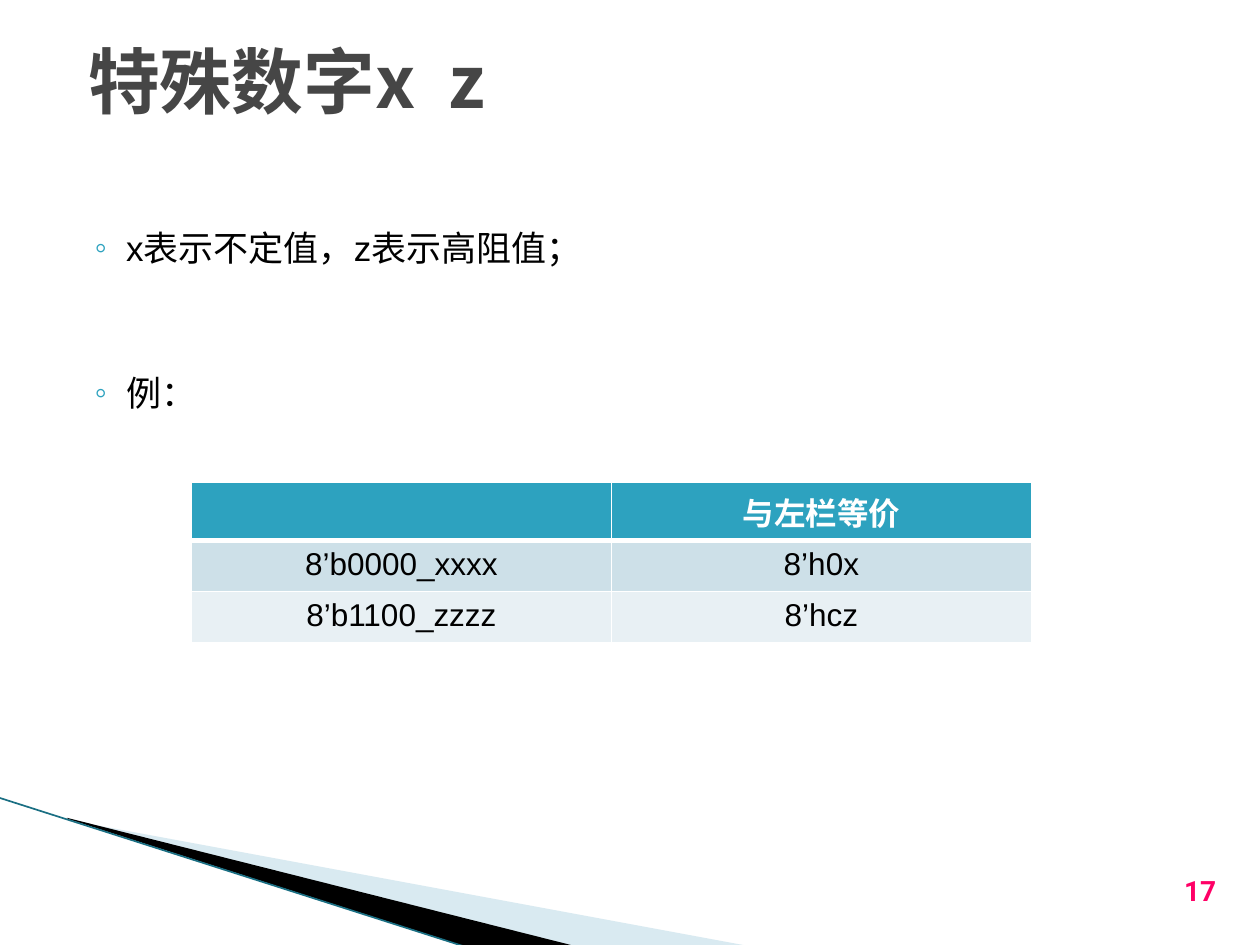
from lxml import etree
from pptx import Presentation
from pptx import util as u
from pptx.dml.color import RGBColor
from pptx.enum import text
from pptx.oxml import ns

Pt = u.Pt
HUES = {
    "ink": "000000", "white": "FFFFFF", "title": "464646", "teal": "2DA2BF",
    "band": "CDE0E8", "pale": "E8F0F4", "wedge": "A0CBDC", "edge": "1A6F83",
    "page": "FF0066",
}
SANS, HAN, NUM = "Arial", "Noto Sans CJK SC", "Roboto"


def hue(name):
    return RGBColor.from_string(HUES[name])


def sub(node, tag, **attrs):
    return etree.SubElement(node, ns.qn("a:" + tag), **attrs)


def style(para, face, size, color, bold=False):
    font = para.font
    font.name, font.size, font.bold = face, Pt(size), bold
    font.color.rgb = hue(color)
    sub(para._p.pPr.find(ns.qn("a:defRPr")), "ea", typeface=HAN)


def place(shape, box):
    shape.left, shape.top, shape.width, shape.height = map(Pt, box)


def title(shape, box, words):
    place(shape, box)
    frame = shape.text_frame
    frame.auto_size = text.MSO_AUTO_SIZE.NONE
    frame.vertical_anchor = text.MSO_ANCHOR.MIDDLE
    frame.margin_top = Pt(7.2)
    frame.text = words
    para = frame.paragraphs[0]
    para.alignment = text.PP_ALIGN.LEFT
    style(para, HAN, 41, "title", True)


def bullet(shape, box, words):
    place(shape, box)
    frame = shape.text_frame
    frame.auto_size = text.MSO_AUTO_SIZE.NONE
    frame.vertical_anchor = text.MSO_ANCHOR.TOP
    frame.margin_top = Pt(27.6)
    frame.text = words
    para = frame.paragraphs[0]
    para.level = 1
    para.alignment = text.PP_ALIGN.JUSTIFY
    para.line_spacing = 1.1
    para.space_before = Pt(0)
    props = para._p.get_or_add_pPr()
    props.set("marL", str(Pt(49)))
    props.set("indent", str(Pt(-18)))
    sub(sub(props, "buClr"), "srgbClr", val=HUES["teal"])
    sub(props, "buChar", char="◦")
    style(para, SANS, 20, "ink")


def border(cell, low):
    props = cell._tc.get_or_add_tcPr()
    for side in ("lnL", "lnR", "lnT", "lnB"):
        wide = low if side == "lnB" else 1
        line = sub(props, side, w=str(Pt(wide)))
        sub(sub(line, "solidFill"), "srgbClr", val=HUES["white"])


def grid(slide, box, rows):
    x, y, wide, high = box
    table = slide.shapes.add_table(
        len(rows), len(rows[0]), Pt(x), Pt(y), Pt(wide), Pt(high)).table
    fills = ("teal", "band", "pale")
    tall = (33, 29.2, 29.2)
    for r, row in enumerate(rows):
        table.rows[r].height = Pt(tall[r])
        head = r == 0
        for c, words in enumerate(row):
            cell = table.cell(r, c)
            border(cell, 3 if head else 1)
            cell.fill.solid()
            cell.fill.fore_color.rgb = hue(fills[r])
            cell.text = words
            para = cell.text_frame.paragraphs[0]
            para.alignment = text.PP_ALIGN.CENTER
            style(para, SANS, 18, "white" if head else "ink", head)


def wedge(slide, box, spots, color, alpha=100):
    x, y, wide, high = box
    spots = [(Pt(x + dx), Pt(y + dy)) for dx, dy in spots]
    build = slide.shapes.build_freeform(*spots[0])
    build.add_line_segments(spots[1:])
    shape = build.convert_to_shape()
    outline = shape._element.spPr.find(".//" + ns.qn("a:path"))
    outline.set("w", str(Pt(wide)))
    outline.set("h", str(Pt(high)))
    dx, dy = shape.left - Pt(x), shape.top - Pt(y)
    for spot in outline.iter(ns.qn("a:pt")):
        spot.set("x", str(int(spot.get("x")) + dx))
        spot.set("y", str(int(spot.get("y")) + dy))
    place(shape, box)
    shape.shadow.inherit = False
    shape.line.fill.background()
    shape.fill.solid()
    shape.fill.fore_color.rgb = hue(color)
    if alpha < 100:
        tint = shape._element.spPr.find(".//" + ns.qn("a:srgbClr"))
        sub(tint, "alpha", val=str(alpha * 1000))


def corner(slide, box):
    x, y, wide, high = box
    wedge(slide, (x + 56.2, y - 62, 299.5, 113.8),
          [(-16.6, 74.9), (372.2, 146.9), (272.1, 146.9), (-16.6, 74.2)],
          "wedge", 40)
    wedge(slide, (x - 4.3, y, 299.5, 66.2),
          [(42.5, 11.5), (333.3, 84.9), (272.1, 85.6), (43.2, 12.2)], "ink")
    line = slide.shapes.add_connector(
        1, Pt(x - 0.7), Pt(y), Pt(x + wide), Pt(y + high))
    line.line.color.rgb = hue("edge")
    line.line.width = Pt(0.95)
    sub(line._element.spPr, "effectLst")


def page(slide, box, words):
    frame = slide.shapes.add_textbox(*map(Pt, box)).text_frame
    frame.word_wrap = True
    frame.vertical_anchor = text.MSO_ANCHOR.BOTTOM
    frame.text = words
    para = frame.paragraphs[0]
    para.alignment = text.PP_ALIGN.RIGHT
    style(para, NUM, 16, "page", True)


def main():
    deck = Presentation()
    deck.slide_width, deck.slide_height = Pt(720), Pt(540)
    slide = deck.slides.add_slide(deck.slide_layouts[3])
    head, first, second = slide.placeholders
    corner(slide, (0, 455.8, 267.1, 85.6))
    page(slide, (552.2, 486, 149.8, 36), "17")
    title(head, (43.2, 17.3, 612, 53.3), "特殊数字x  z")
    bullet(first, (15.8, 99.4, 611.3, 75.6), "x表示不定值，z表示高阻值；")
    bullet(second, (15.8, 182.2, 611.3, 75.6), "例：")
    grid(slide, (109.4, 275.8, 480, 91.4), [
        ("", "与左栏等价"),
        ("8’b0000_xxxx", "8’h0x"),
        ("8’b1100_zzzz", "8’hcz"),
    ])
    deck.save("out.pptx")


if __name__ == "__main__":
    main()
